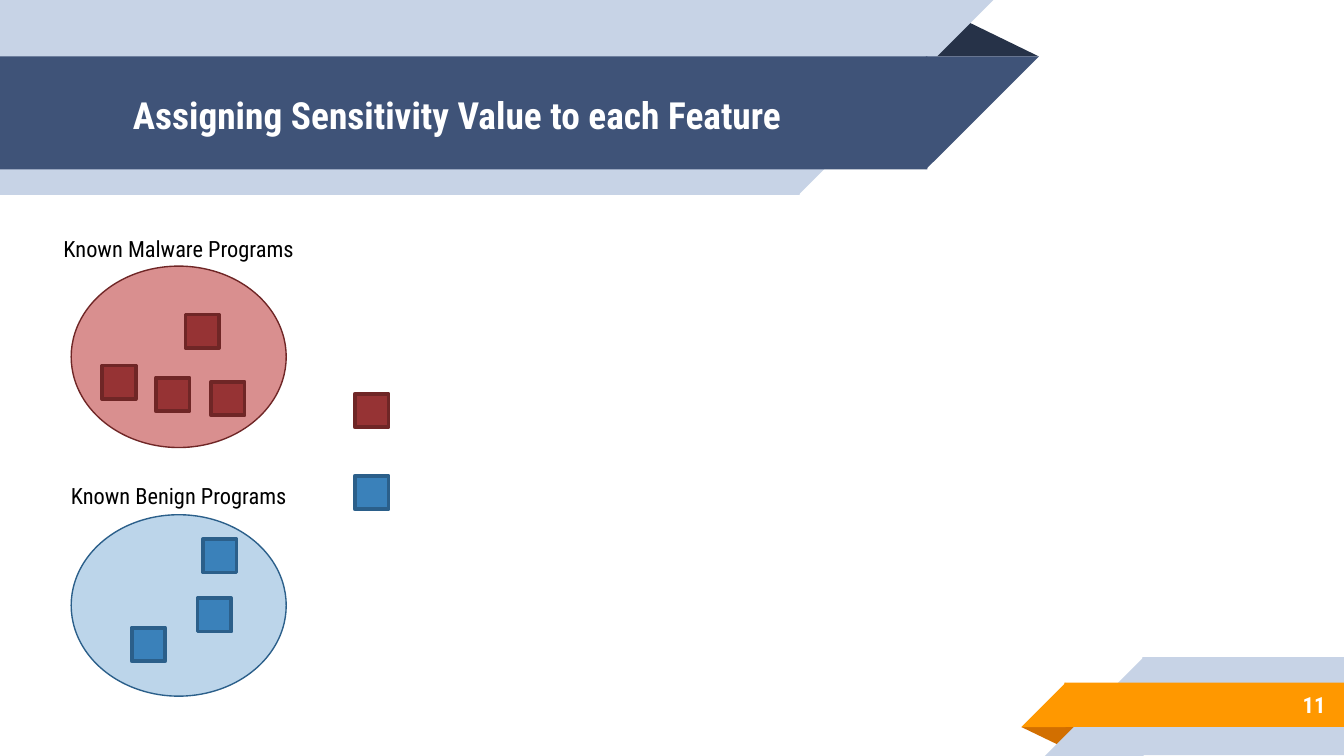
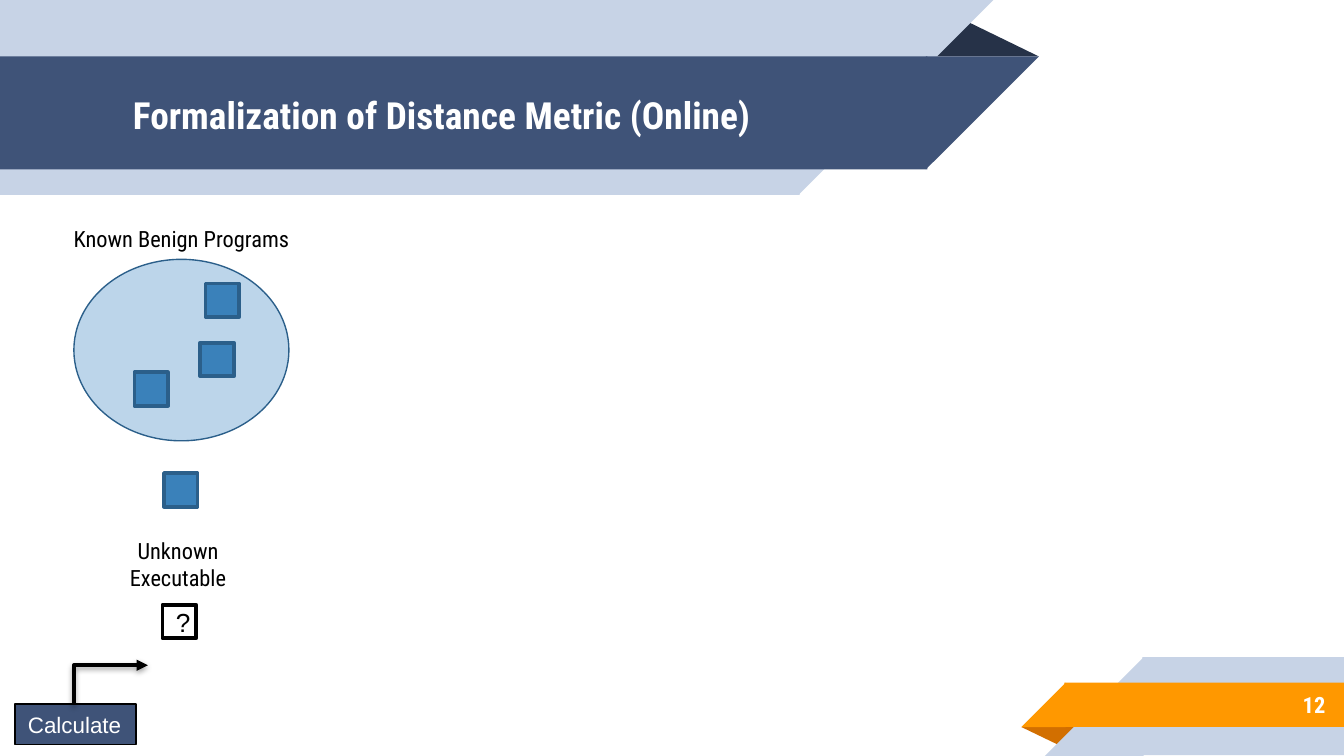
"""Two slides on malware feature sensitivity and the distance metric."""
from lxml import etree
from pptx import Presentation
from pptx import util as u
from pptx.dml.color import RGBColor
from pptx.enum import shapes, text
from pptx.oxml import ns

NAVY, PALE, INK, ORANGE, RUST = "3F5378", "C7D3E6", "263248", "FF9800", "D26F00"
WHITE, BLACK = "FFFFFF", "000000"
FONT = "Roboto Condensed"
SLIDE_WIDTH = 10
SQUARE = 0.25
OVAL_WIDTH, OVAL_HEIGHT = 1.6, 1.35
LABEL_HEIGHT = 0.3

RECT = shapes.MSO_SHAPE.RECTANGLE
CORNER = shapes.MSO_SHAPE.RIGHT_TRIANGLE
FOLD = shapes.MSO_SHAPE.ISOSCELES_TRIANGLE
OVAL = shapes.MSO_SHAPE.OVAL
LEFT, CENTER, RIGHT = text.PP_ALIGN.LEFT, text.PP_ALIGN.CENTER, text.PP_ALIGN.RIGHT
TOP, MIDDLE = text.MSO_ANCHOR.TOP, text.MSO_ANCHOR.MIDDLE

HEADER = [
    (FOLD, (6.88, 0.14, 0.85, 0.28), INK, 0, False),
    (RECT, (0, 0, 5.95, 1.45), PALE, 180, True),
    (CORNER, (5.94, 0, 1.45, 1.45), PALE, 180, True),
    (RECT, (0, 0.42, 6.9, 0.84), NAVY, 180, True),
    (CORNER, (6.89, 0.42, 0.84, 0.84), NAVY, 180, True),
]
FOOTER = [
    (FOLD, (7.6, 5.41, 0.43, 0.14), RUST, 180, False),
    (RECT, (8.5, 4.89, 1.5, 0.73), PALE, 0, True),
    (CORNER, (7.77, 4.89, 0.74, 0.74), PALE, 0, True),
    (RECT, (7.92, 5.08, 2.08, 0.33), ORANGE, 0, True),
    (CORNER, (7.6, 5.08, 0.33, 0.33), ORANGE, 0, True),
]

MALWARE = {
    "label": "Known Malware Programs", "label_width": 1.94,
    "oval": "D98F8F", "square": "963334", "line": "6F2626",
    "offsets": [(0.85, 0.36), (0.23, 0.74), (1.04, 0.86), (0.63, 0.83)],
}
BENIGN = {
    "label": "Known Benign Programs", "label_width": 1.82,
    "oval": "BCD5EA", "square": "3A81BA", "line": "2B5F8A",
    "offsets": [(0.98, 0.18), (0.45, 0.84), (0.94, 0.62)],
}
SLIDES = [
    ("Assigning Sensitivity Value to each Feature", "11",
     [(MALWARE, (0.53, 1.98), 1.7, (2.64, 2.93)),
      (BENIGN, (0.53, 3.83), 3.54, (2.64, 3.54))]),
    ("Formalization of Distance Metric (Online)", "12",
     [(BENIGN, (0.55, 1.93), 1.63, (1.22, 3.52))]),
]


def add_block(container, preset, place, fill, line=None, weight=2):
    shape = container.add_shape(preset, *map(u.Inches, place))
    shape.shadow.inherit = False
    shape.fill.solid()
    shape.fill.fore_color.rgb = RGBColor.from_string(fill)
    if line:
        shape.line.color.rgb = RGBColor.from_string(line)
        shape.line.width = u.Pt(weight)
    else:
        shape.line.fill.background()
    return shape


def write_text(shape, lines, color, size=12, font=FONT, bold=False,
               align=CENTER, anchor=TOP, grow=False, inset=None):
    frame = shape.text_frame
    frame.word_wrap = not grow
    frame.vertical_anchor = anchor
    if grow:
        frame.auto_size = text.MSO_AUTO_SIZE.SHAPE_TO_FIT_TEXT
    if inset:
        frame.margin_left = frame.margin_right = u.Inches(inset)
        frame.margin_top = frame.margin_bottom = u.Inches(inset)
    for index, line in enumerate(lines):
        paragraph = frame.add_paragraph() if index else frame.paragraphs[0]
        paragraph.alignment = align
        run = paragraph.add_run()
        run.text = line
        run.font.name = font
        run.font.size = u.Pt(size)
        run.font.bold = bold
        run.font.color.rgb = RGBColor.from_string(color)


presentation = Presentation()
presentation.slide_width = u.Inches(SLIDE_WIDTH)
presentation.slide_height = u.Inches(SLIDE_WIDTH * 9 / 16)

for title, number, clusters in SLIDES:
    slide = presentation.slides.add_slide(presentation.slide_layouts[6])
    for bands in (HEADER, FOOTER):
        group = slide.shapes.add_group_shape()
        for preset, place, fill, rotation, flipped in bands:
            shape = add_block(group.shapes, preset, place, fill)
            shape.rotation = rotation
            if preset == FOLD:
                shape.adjustments[0] = 0.324
            if flipped:
                shape._element.spPr.find(ns.qn("a:xfrm")).set("flipH", "1")

    title_box = slide.shapes.add_textbox(*map(u.Inches, (0.89, 0.43, 5.75, 0.84)))
    write_text(title_box, [title], WHITE, size=20, bold=True, align=LEFT,
               anchor=MIDDLE, inset=0.1)
    number_box = slide.shapes.add_textbox(*map(u.Inches, (8.33, 5.07, 1.63, 0.35)))
    write_text(number_box, [number], WHITE, bold=True, align=RIGHT,
               anchor=MIDDLE, inset=0.1)

    for cluster, (left, top), label_top, loose in clusters:
        add_block(slide.shapes, OVAL, (left, top, OVAL_WIDTH, OVAL_HEIGHT),
                  cluster["oval"], cluster["line"], 0.75)
        corners = [(left + x, top + y) for x, y in cluster["offsets"]]
        for corner in [loose, *corners]:
            add_block(slide.shapes, RECT, (*corner, SQUARE, SQUARE),
                      cluster["square"], cluster["line"])
        width = cluster["label_width"]
        label = slide.shapes.add_textbox(
            u.Inches(left + (OVAL_WIDTH - width) / 2), u.Inches(label_top),
            u.Inches(width), u.Inches(LABEL_HEIGHT))
        write_text(label, [cluster["label"]], BLACK, grow=True)

unknown = add_block(slide.shapes, RECT, (1.21, 4.5, SQUARE, SQUARE), WHITE, BLACK)
write_text(unknown, ["?"], BLACK, size=14, font="Arial", anchor=MIDDLE)
unknown_label = slide.shapes.add_textbox(*map(u.Inches, (0.86, 3.95, 0.93, 0.5)))
write_text(unknown_label, ["Unknown", "Executable"], BLACK, grow=True)
calculate = add_block(slide.shapes, RECT, (0.11, 5.24, 0.9, 0.3), NAVY, BLACK, 1)
write_text(calculate, ["Calculate"], WHITE, font="Arial", align=LEFT, grow=True)

arrow = slide.shapes.add_connector(
    shapes.MSO_CONNECTOR.ELBOW, *map(u.Inches, (0.97, 5.37, 0.68, 4.82)))
arrow.line.color.rgb = RGBColor.from_string(BLACK)
arrow.line.width = u.Pt(2)
properties = arrow._element.spPr
properties.find(ns.qn("a:xfrm")).set("rot", "5400000")
properties.find(ns.qn("a:prstGeom")).set("prst", "bentConnector2")
etree.SubElement(properties.find(ns.qn("a:ln")), ns.qn("a:tailEnd"), type="triangle")
effects = etree.SubElement(properties, ns.qn("a:effectLst"))
shadow = etree.SubElement(effects, ns.qn("a:outerShdw"), blurRad=str(u.Pt(3.1)),
                          dist=str(u.Pt(1.6)), dir="5400000", rotWithShape="0")
shadow_color = etree.SubElement(shadow, ns.qn("a:srgbClr"), val=BLACK)
etree.SubElement(shadow_color, ns.qn("a:alpha"), val="38000")

presentation.save("out.pptx")
